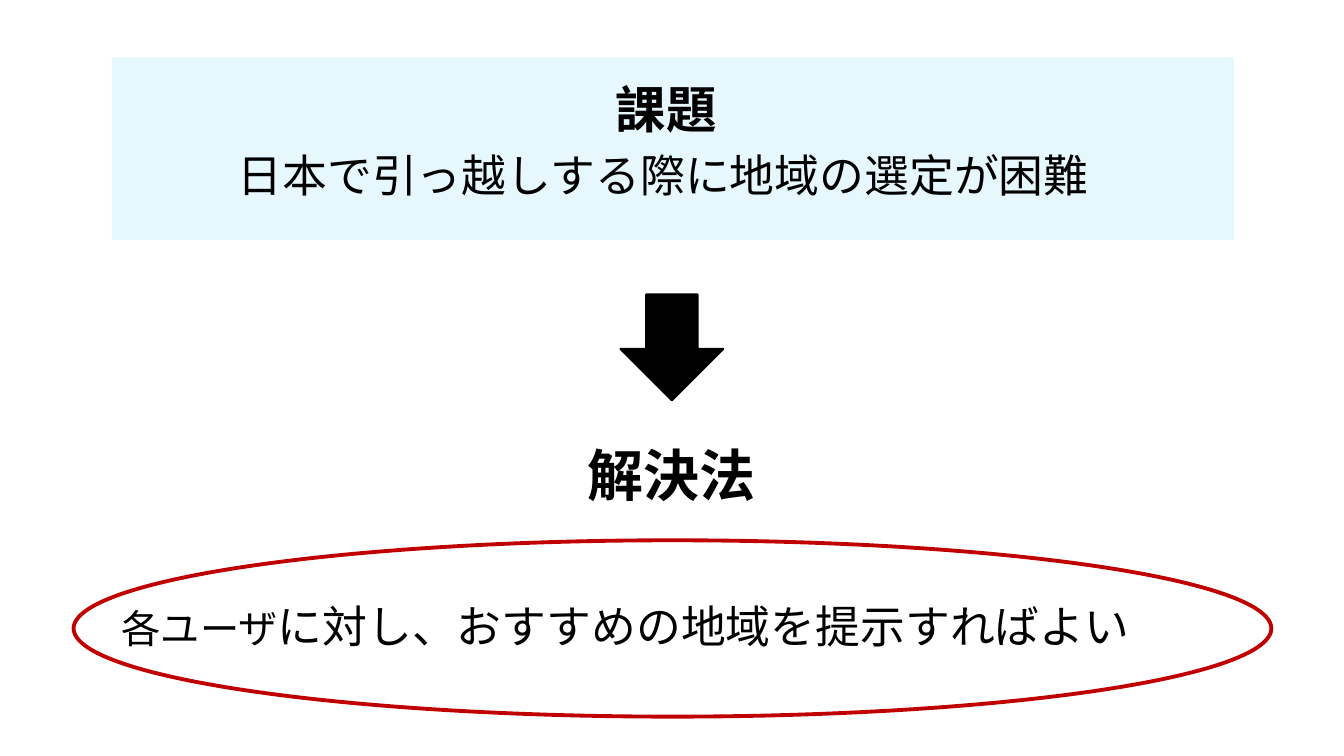
from dataclasses import dataclass

from lxml.etree import SubElement
from pptx import Presentation
from pptx.dml.color import RGBColor
from pptx.enum.shapes import MSO_SHAPE
from pptx.enum.text import MSO_ANCHOR, MSO_AUTO_SIZE, PP_ALIGN
from pptx.oxml.ns import qn
from pptx.util import Inches, Pt

SLIDE_WIDTH, SLIDE_HEIGHT = Inches(13.33), Inches(7.5)
FONT = "Noto Sans CJK JP"
BLACK = RGBColor(0x00, 0x00, 0x00)
PALE_BLUE = RGBColor(0xCA, 0xEE, 0xFB)
RED = RGBColor(0xC0, 0x00, 0x00)


@dataclass(frozen=True)
class Area:
    """Place and size in percent of the slide's width and height."""
    left: float
    top: float
    width: float
    height: float

    def emu(self) -> tuple[int, int, int, int]:
        return (round(SLIDE_WIDTH * self.left / 100),
                round(SLIDE_HEIGHT * self.top / 100),
                round(SLIDE_WIDTH * self.width / 100),
                round(SLIDE_HEIGHT * self.height / 100))


@dataclass(frozen=True)
class Figure:
    kind: MSO_SHAPE
    area: Area
    fill: RGBColor | None = None
    opacity: int = 100
    line: RGBColor | None = None
    line_width: float = 0


@dataclass(frozen=True)
class Piece:
    text: str
    size: int
    bold: bool = False


@dataclass(frozen=True)
class Label:
    area: Area
    pieces: tuple[Piece, ...]


PROBLEM_AREA = Area(6.23, 18.27, 86.27, 10.67)
PROBLEM = Piece("日本で引っ越しする際に地域の選定が困難", 32)

FIGURES = (
    # Problem panel, solution ring and the arrow between them
    Figure(MSO_SHAPE.RECTANGLE, Area(8.33, 7.6, 83.5, 24.13), PALE_BLUE, 47),
    Figure(MSO_SHAPE.OVAL, Area(5.48, 71.47, 89.12, 23.33),
           line=RED, line_width=2.75),
    Figure(MSO_SHAPE.DOWN_ARROW, Area(46.17, 38.95, 7.65, 14),
           BLACK, line=BLACK, line_width=1.5),
)

LABELS = (
    Label(Area(8.33, 78.53, 83.5, 8.53),
          (Piece("各ユーザ", 28),
           Piece("に対し、おすすめの地域を提示すればよい", 32))),
    Label(Area(42.99, 57.6, 14.25, 10.27), (Piece("解決法", 40, True),)),
    Label(Area(45.09, 9.73, 50.04, 9.47), (Piece("課題", 36, True),)),
)


def draw_figure(slide, figure: Figure) -> None:
    shape = slide.shapes.add_shape(figure.kind, *figure.area.emu())
    shape.shadow.inherit = False
    if figure.fill is None:
        shape.fill.background()
    else:
        shape.fill.solid()
        shape.fill.fore_color.rgb = figure.fill
    if figure.opacity < 100:
        color = shape.element.spPr.find(f"{qn('a:solidFill')}/{qn('a:srgbClr')}")
        SubElement(color, qn("a:alpha"), val=str(figure.opacity * 1000))
    if figure.line is None:
        shape.line.fill.background()
    else:
        shape.line.color.rgb = figure.line
        shape.line.width = Pt(figure.line_width)


def format_run(run, piece: Piece) -> None:
    run.font.size = Pt(piece.size)
    run.font.bold = piece.bold
    run.font.color.rgb = BLACK
    run.font.name = FONT
    # Japanese glyphs take the East Asian typeface
    SubElement(run.font._element, qn("a:ea"), typeface=FONT)


def draw_label(slide, label: Label) -> None:
    frame = slide.shapes.add_textbox(*label.area.emu()).text_frame
    frame.word_wrap = True
    for piece in label.pieces:
        run = frame.paragraphs[0].add_run()
        run.text = piece.text
        format_run(run, piece)


def place_problem(slide) -> None:
    problem = slide.shapes.title
    problem.left, problem.top, problem.width, problem.height = PROBLEM_AREA.emu()
    frame = problem.text_frame
    frame.text = PROBLEM.text
    frame.word_wrap = True
    frame.auto_size = MSO_AUTO_SIZE.NONE
    frame.vertical_anchor = MSO_ANCHOR.MIDDLE
    statement = frame.paragraphs[0]
    statement.alignment = PP_ALIGN.CENTER
    statement.line_spacing = 0.9
    format_run(statement.runs[0], PROBLEM)
    # Bring the title in front of the tinted panel
    problem.element.getparent().append(problem.element)


def main() -> None:
    deck = Presentation()
    deck.slide_width, deck.slide_height = SLIDE_WIDTH, SLIDE_HEIGHT
    slide = deck.slides.add_slide(deck.slide_layouts[5])
    for figure in FIGURES:
        draw_figure(slide, figure)
    place_problem(slide)
    for label in LABELS:
        draw_label(slide, label)
    deck.save("out.pptx")


if __name__ == "__main__":
    main()
